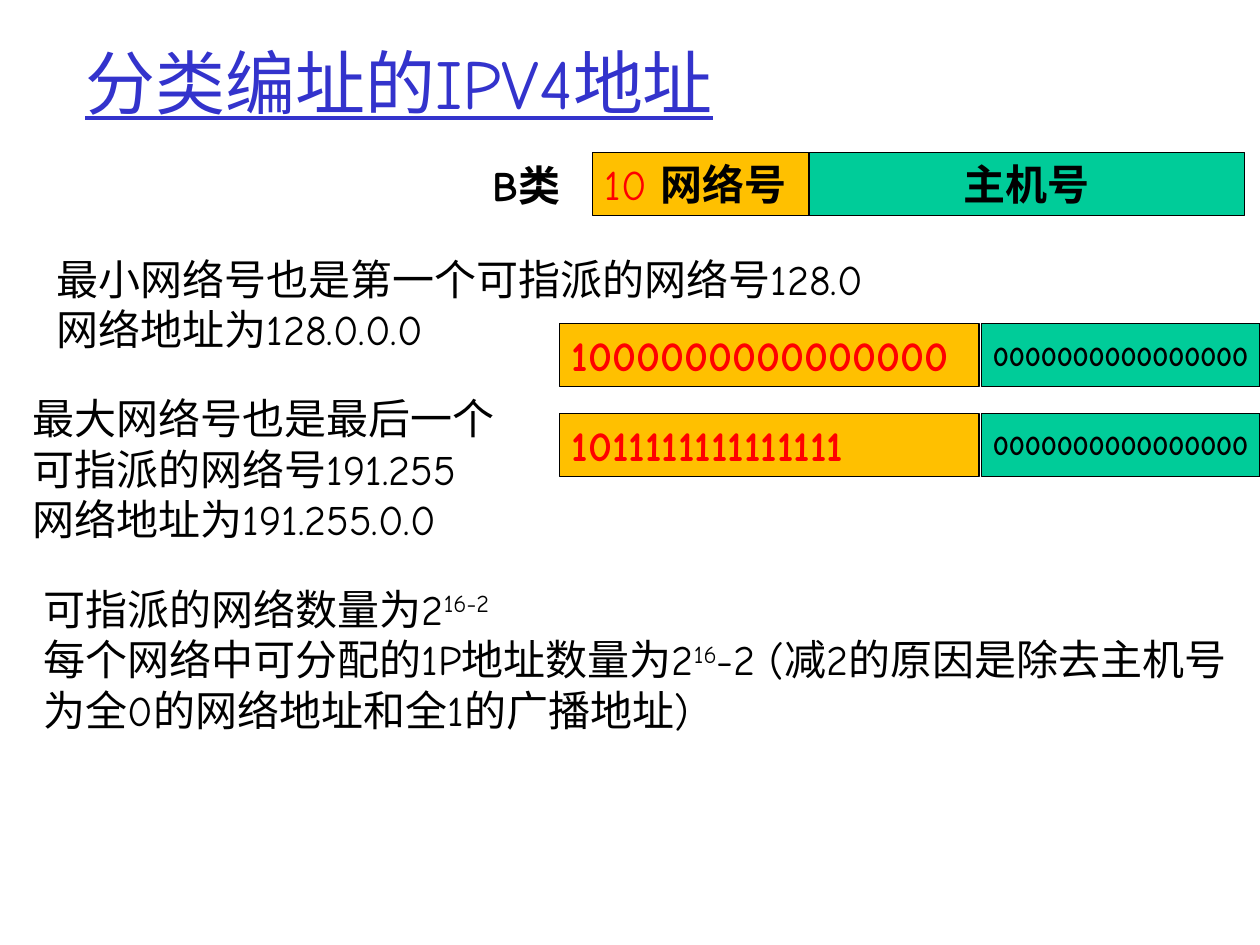
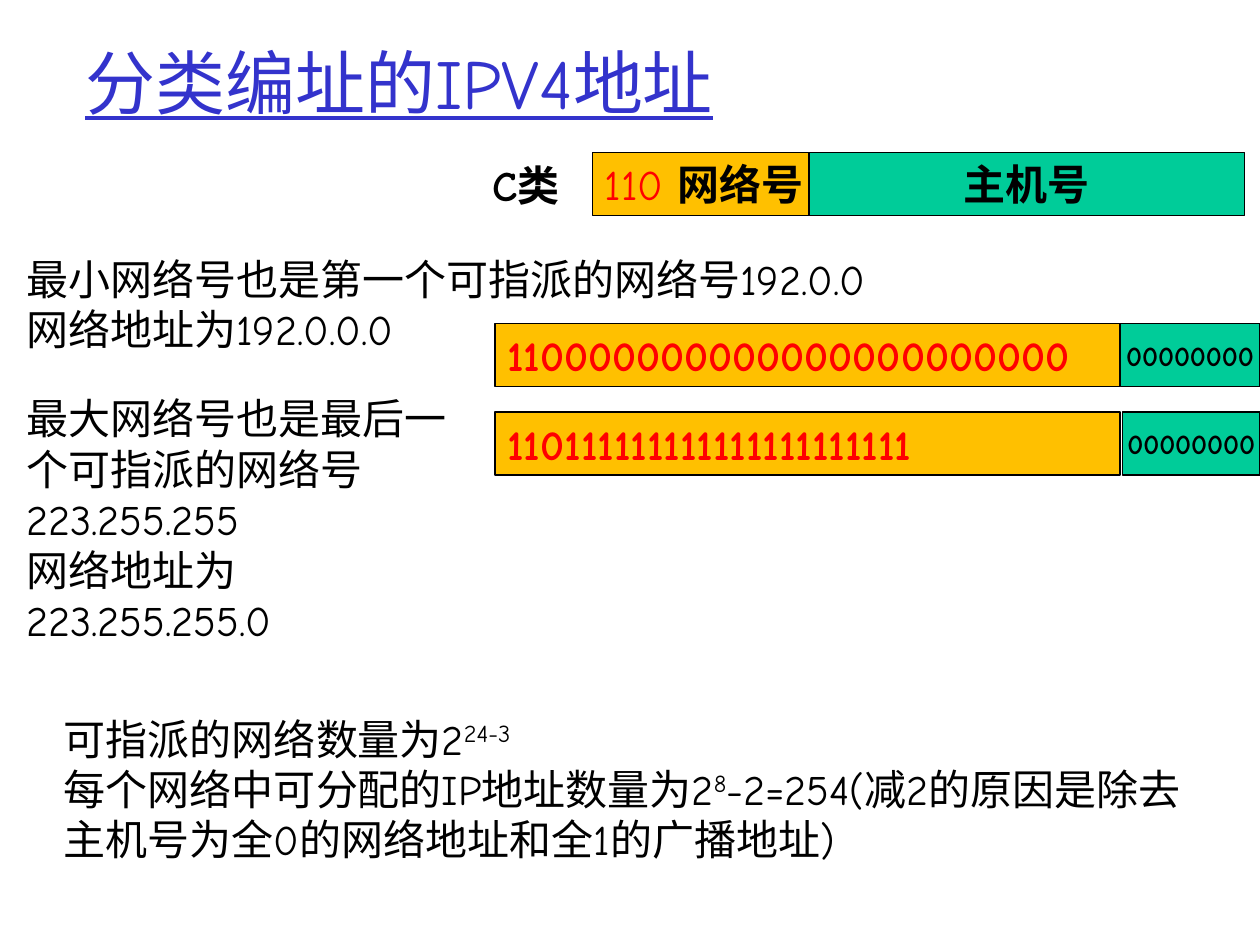
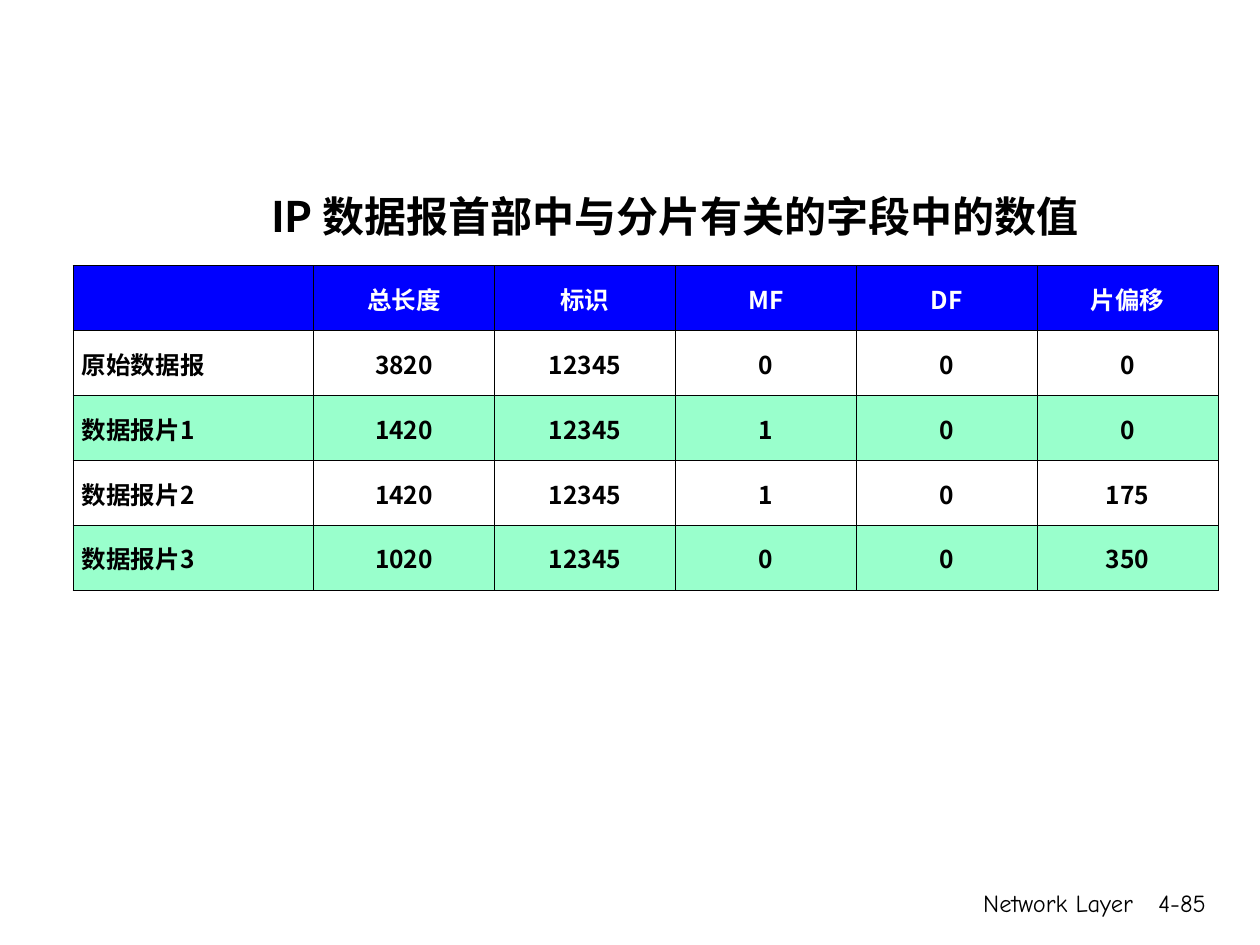
from dataclasses import dataclass

from lxml.etree import SubElement
from pptx import Presentation
from pptx.dml.color import RGBColor
from pptx.enum.shapes import MSO_SHAPE
from pptx.enum.text import MSO_ANCHOR, PP_ALIGN
from pptx.oxml.ns import qn
from pptx.util import Inches, Pt

GRID_COLUMNS, GRID_ROWS = 100, 75


@dataclass(frozen=True)
class Theme:
    """Colours, fonts and type sizes of the deck."""
    black: str = "000000"
    white: str = "FFFFFF"
    title: str = "3333CC"
    prefix: str = "FF0000"
    network: str = "FFC000"
    host: str = "00CC99"
    table_head: str = "0000FF"
    table_band: str = "99FFCC"
    font: str = "Comic Neue"
    table_font: str = "Noto Sans CJK SC"
    title_size: float = 40
    body_size: float = 24
    bits_size: float = 16
    small_size: float = 14
    line: float = 0.75
    table_line: float = 0.45


THEME = Theme()


@dataclass(frozen=True)
class Box:
    """A rectangle in grid columns and rows."""
    left: float
    top: float
    width: float
    height: float

    def within(self, left, width, top=0):
        """Return a box of the same height placed relative to this one."""
        return Box(self.left + left, self.top + top, width, self.height)

    def place(self):
        """Return left, top, width and height as lengths on the slide."""
        column, row = Inches(10) / GRID_COLUMNS, Inches(7.5) / GRID_ROWS
        return (round(self.left * column), round(self.top * row),
                round(self.width * column), round(self.height * row))


@dataclass(frozen=True)
class AddressClass:
    """Wording and layout of one address class slide."""
    letter: str
    prefix: str
    lowest_bits: str
    highest_bits: str
    host_bits: str
    bits_box: Box
    second_top: float
    network_width: float
    gaps: tuple
    lowest_box: Box
    lowest: tuple
    highest_box: Box
    highest: tuple
    count_box: Box
    count: tuple


def raised(text):
    """Return a superscript span."""
    return text, {"baseline": 30}


def write(frame, text, align=PP_ALIGN.LEFT, anchor=MSO_ANCHOR.TOP, wrap=True, **style):
    """Write a string, or a sequence of paragraphs made of spans, into a text frame."""
    frame.word_wrap = wrap
    frame.vertical_anchor = anchor
    paragraphs = (text,) if isinstance(text, str) else text
    for index, spans in enumerate(paragraphs):
        para = frame.add_paragraph() if index else frame.paragraphs[0]
        para.alignment = align
        for piece in (spans,) if isinstance(spans, str) else spans:
            words, changes = (piece, {}) if isinstance(piece, str) else piece
            add_span(para, words, **{**style, **changes})


def add_span(para, words, size=THEME.body_size, color=THEME.black, font=THEME.font,
             bold=False, underline=False, baseline=0):
    """Add one formatted span to a paragraph."""
    span = para.add_run()
    span.text = words
    span.font.size = Pt(size)
    span.font.bold = bold
    span.font.underline = underline
    span.font.color.rgb = RGBColor.from_string(color)
    span.font.name = font
    properties = span._r.get_or_add_rPr()
    SubElement(properties, qn("a:ea")).set("typeface", font)
    if baseline:
        properties.set("baseline", str(baseline * 1000))


def add_text(page, box, text, **style):
    """Add a text box."""
    write(page.shapes.add_textbox(*box.place()).text_frame, text, **style)


def add_field(page, box, fill, text, **style):
    """Add an outlined address field with its text."""
    field = page.shapes.add_shape(MSO_SHAPE.RECTANGLE, *box.place())
    field.shadow.inherit = False
    field.fill.solid()
    field.fill.fore_color.rgb = RGBColor.from_string(fill)
    field.line.color.rgb = RGBColor.from_string(THEME.black)
    field.line.width = Pt(THEME.line)
    write(field.text_frame, text, wrap=False, **style)


def add_title(page, box):
    """Add the underlined slide title."""
    add_text(page, box, "分类编址的IPV4地址", size=THEME.title_size, color=THEME.title,
             underline=True, anchor=MSO_ANCHOR.MIDDLE)


def add_format_row(page, box, letter, prefix):
    """Add the class label with its network and host fields."""
    add_field(page, box.within(8.9, 17.2), THEME.network,
              (((prefix + " ", {"color": THEME.prefix}), ("网络号", {"bold": True})),))
    add_field(page, box.within(26.1, 34.6), THEME.host, "主机号",
              bold=True, align=PP_ALIGN.CENTER)
    add_text(page, box.within(0, 11.9, top=0.1), letter + "类", bold=True)


def add_bits_row(page, box, network_width, gap, network_bits, host_bits):
    """Add the network bits and fill the rest of the row with the host bits."""
    host_left = network_width + gap
    add_field(page, box.within(0, network_width), THEME.network, network_bits,
              color=THEME.prefix, bold=True)
    add_field(page, box.within(host_left, box.width - host_left), THEME.host, host_bits,
              size=THEME.bits_size, bold=True, align=PP_ALIGN.CENTER,
              anchor=MSO_ANCHOR.MIDDLE)


def add_class_slide(page, topic):
    """Build the slide of one address class."""
    add_title(page, Box(5.8, 2.5, 85, 7.9))
    add_format_row(page, Box(38.1, 12.1, 60.7, 5), topic.letter, topic.prefix)
    rows = zip((0, topic.second_top), topic.gaps, (topic.lowest_bits, topic.highest_bits))
    for top, gap, bits in rows:
        row = topic.bits_box.within(0, topic.bits_box.width, top=top)
        add_bits_row(page, row, topic.network_width, gap, bits, topic.host_bits)
    add_text(page, topic.lowest_box, topic.lowest)
    add_text(page, topic.highest_box, topic.highest)
    add_text(page, topic.count_box, topic.count)


def style_cell(cell, fill):
    """Set the borders, margins and fill of a table cell."""
    properties = cell._tc.get_or_add_tcPr()
    for side in ("a:lnL", "a:lnR", "a:lnT", "a:lnB"):
        border = SubElement(properties, qn(side), w=str(Pt(THEME.table_line)))
        solid = SubElement(border, qn("a:solidFill"))
        SubElement(solid, qn("a:srgbClr"), val=THEME.black)
    cell.margin_left = cell.margin_right = Inches(0.07)
    cell.margin_top = cell.margin_bottom = Inches(0.05)
    if fill:
        cell.fill.solid()
        cell.fill.fore_color.rgb = RGBColor.from_string(fill)
    else:
        cell.fill.background()


def add_fragment_table(page, box, rows, first_share):
    """Add the banded table with a wide first column and equal other columns."""
    left, top, width, height = box.place()
    table = page.shapes.add_table(len(rows), len(rows[0]), left, top, width, height).table
    first_width = round(width * first_share)
    other_width = (width - first_width) // (len(rows[0]) - 1)
    for index, column in enumerate(table.columns):
        column.width = other_width if index else first_width
    for row_index, values in enumerate(rows):
        table.rows[row_index].height = height // len(rows)
        fill = None if row_index % 2 else THEME.table_band
        if row_index == 0:
            fill = THEME.table_head
        for column_index, value in enumerate(values):
            cell = table.cell(row_index, column_index)
            style_cell(cell, fill)
            if value:
                write(cell.text_frame, value, size=THEME.small_size, bold=True,
                      font=THEME.table_font,
                      color=THEME.black if row_index else THEME.white,
                      align=PP_ALIGN.CENTER if column_index else PP_ALIGN.JUSTIFY)
            cell.vertical_anchor = MSO_ANCHOR.MIDDLE


def add_footer(page, box, chapter, number):
    """Add the chapter name and the page number."""
    for text, place in ((chapter, box.within(0, 31.7)), (number, box.within(30.1, 7.4))):
        add_text(page, place, text, size=THEME.small_size, align=PP_ALIGN.RIGHT)


def add_table_slide(page):
    """Build the slide on fragmentation fields."""
    add_footer(page, Box(59.2, 70, 37.5, 5), "Network Layer", "4-85")
    add_text(page, Box(17.8, 14.6, 71.5, 5), "IP 数据报首部中与分片有关的字段中的数值",
             font=THEME.table_font, bold=True, align=PP_ALIGN.CENTER)
    add_fragment_table(page, Box(5.8, 21.1, 90.9, 25.8), FRAGMENTS, first_share=0.21)


FRAGMENTS = (
    ("", "总长度", "标识", "MF", "DF", "片偏移"),
    ("原始数据报", "3820", "12345", "0", "0", "0"),
    ("数据报片1", "1420", "12345", "1", "0", "0"),
    ("数据报片2", "1420", "12345", "1", "0", "175"),
    ("数据报片3", "1020", "12345", "0", "0", "350"),
)

CLASSES = (
    AddressClass(
        letter="B", prefix="10",
        lowest_bits="1000000000000000", highest_bits="1011111111111111",
        host_bits="0000000000000000",
        bits_box=Box(44.4, 25.7, 55.6, 5), second_top=7.1,
        network_width=33.3, gaps=(0.2, 0.2),
        lowest_box=Box(3.5, 19.6, 70.9, 9),
        lowest=("最小网络号也是第一个可指派的网络号128.0", "网络地址为128.0.0.0"),
        highest_box=Box(1.6, 30.7, 40.6, 13),
        highest=("最大网络号也是最后一个可指派的网络号191.255", "网络地址为191.255.0.0"),
        count_box=Box(2.5, 45.8, 96.3, 13),
        count=(("可指派的网络数量为2", raised("16-2")),
               ("每个网络中可分配的1P地址数量为2", raised("16"),
                "-2 (减2的原因是除去主机号为全0的网络地址和全1的广播地址)")),
    ),
    AddressClass(
        letter="C", prefix="110",
        lowest_bits="110000000000000000000000", highest_bits="110111111111111111111111",
        host_bits="00000000",
        bits_box=Box(39.3, 25.7, 60.7, 5), second_top=7,
        network_width=49.6, gaps=(0, 0.2),
        lowest_box=Box(1.1, 19.6, 80.1, 9),
        lowest=("最小网络号也是第一个可指派的网络号192.0.0", "网络地址为192.0.0.0"),
        highest_box=Box(1.1, 30.7, 36.9, 21),
        highest=("最大网络号也是最后一个可指派的网络号223.255.255",
                 "网络地址为223.255.255.0"),
        count_box=Box(4.1, 56.1, 92.6, 13),
        count=(("可指派的网络数量为2", raised("24-3")),
               ("每个网络中可分配的IP地址数量为2", raised("8"),
                "-2=254(减2的原因是除去主机号为全0的网络地址和全1的广播地址)")),
    ),
)


def main():
    """Build and save the deck."""
    deck = Presentation()
    deck.slide_width, deck.slide_height = Inches(10), Inches(7.5)
    blank = deck.slide_layouts[6]
    for topic in CLASSES:
        add_class_slide(deck.slides.add_slide(blank), topic)
    add_table_slide(deck.slides.add_slide(blank))
    deck.save("out.pptx")


if __name__ == "__main__":
    main()
